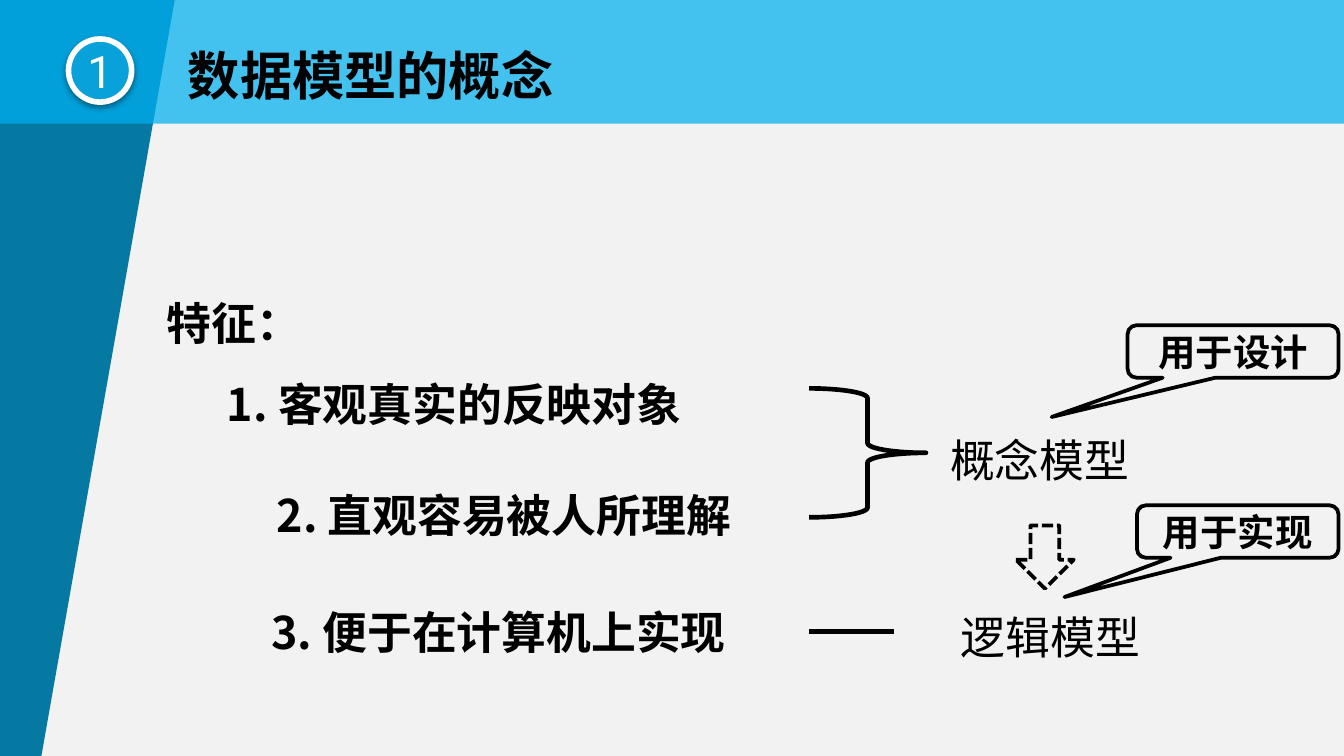
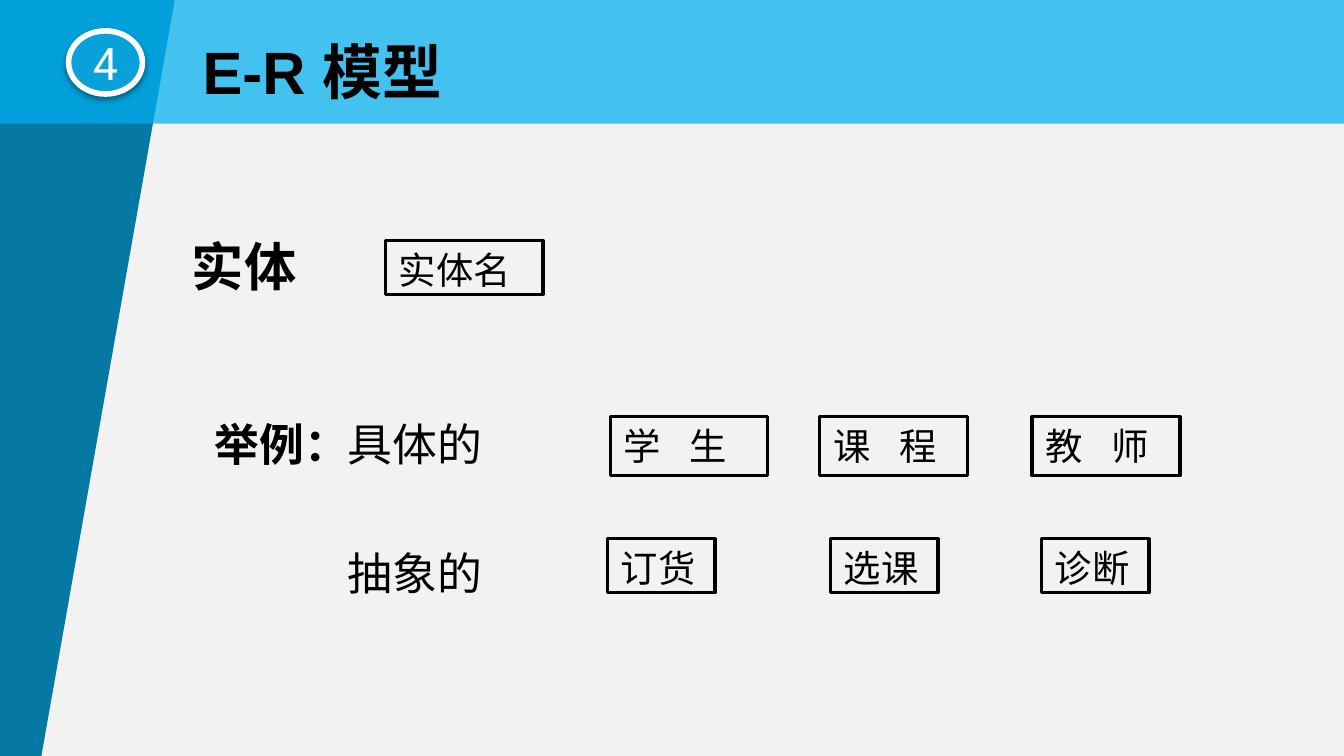
from lxml import etree
from pptx import Presentation, util as u
from pptx.dml.color import RGBColor
from pptx.enum import dml, shapes, text
from pptx.oxml import parse_xml
from pptx.oxml.ns import qn

PX = 4572  # 200 px to the inch
NS = 'xmlns:a="http://schemas.openxmlformats.org/drawingml/2006/main"'
SC, JP = "Noto Sans CJK SC", "Noto Sans CJK JP"
BLACK, WHITE = "000000", "FFFFFF"
color = RGBColor.from_string
MSO = shapes.MSO_SHAPE


def add_box(s, kind, at, line=None, width=2.0, fill=None):
    """Add a text box (kind None) or a preset shape at px left, top, width, height."""
    at = [v * PX for v in at]
    if kind is None:
        return s.shapes.add_textbox(*at)
    sp = s.shapes.add_shape(kind, *at)
    sp.shadow.inherit = False
    if fill:
        sp.fill.solid()
        sp.fill.fore_color.rgb = color(fill)
    else:
        sp.fill.background()
    if line:
        sp.line.color.rgb = color(line)
        sp.line.width = u.Pt(width)
    else:
        sp.line.fill.background()
    return sp


def put_text(sp, words, size, font=SC, bold=False, ink=BLACK, spacing=None,
             indent=0, center=False):
    """Write lines of text; the indent goes to the last one."""
    tf = sp.text_frame
    tf.word_wrap = True
    tf.vertical_anchor = text.MSO_ANCHOR.MIDDLE if center else text.MSO_ANCHOR.TOP
    tf.text = words
    for p in tf.paragraphs:
        p.alignment = text.PP_ALIGN.CENTER if center else text.PP_ALIGN.LEFT
        p.line_spacing = spacing
        for r in p.runs:
            r.font.size, r.font.name, r.font.bold = u.Pt(size), font, bold
            r.font.color.rgb = color(ink)
            ea = etree.SubElement(r.font._element, qn("a:ea"))
            ea.set("typeface", JP if font == JP else SC)
    if indent:
        p._p.get_or_add_pPr().set("marL", str(indent * PX))


prs = Presentation()
prs.slide_width, prs.slide_height = 2000 * PX, 1125 * PX

# Shared frame: slanted side panel, title band, number badge, title
pages = [
    ("1", (102, 58, 94, 94), "数据模型的概念", (260, 54, 638, 114), 28, SC),
    ("4", (102, 46, 110, 94), "E-R 模型", (282, 42, 434, 128), 32, "Arial"),
]
for number, badge_at, title, title_at, size, font in pages:
    s = prs.slides.add_slide(prs.slide_layouts[6])
    s.background.fill.solid()
    s.background.fill.fore_color.rgb = color("F2F2F2")

    outline = s.shapes.build_freeform(-2, 1132, scale=PX)
    outline.add_line_segments([(0, -2), (260, 0), (60, 1134)], close=True)
    panel = outline.convert_to_shape()
    panel.shadow.inherit = False
    panel.fill.solid()
    panel.fill.fore_color.rgb = color("0679A3")
    panel.line.fill.background()

    band = add_box(s, MSO.RECTANGLE, (-2, 0, 2002, 184), fill="00B0F0")
    tint = band._element.spPr.find(".//" + qn("a:srgbClr"))
    etree.SubElement(tint, qn("a:alpha")).set("val", "72000")

    badge = add_box(s, MSO.OVAL, badge_at, WHITE, 3, "08A1D9")
    tf = badge.text_frame
    tf.margin_left = tf.margin_right = tf.margin_top = tf.margin_bottom = 0
    put_text(badge, number, 24, "Roboto", ink=WHITE, center=True)
    badge._element.spPr.find(qn("a:effectLst")).append(parse_xml(
        f'<a:outerShdw {NS} blurRad="39370" dist="20320" dir="5400000" rotWithShape="0">'
        '<a:srgbClr val="000000"><a:alpha val="38000"/></a:srgbClr></a:outerShdw>'))

    put_text(add_box(s, None, title_at), title, size, font, bold=True)

features, entities = prs.slides

# Slide 1: features on the left
for words, at, indent in [
    ("特征：\n1. 客观真实的反映对象", (228, 390, 976, 262), 90),
    ("2. 直观容易被人所理解", (362, 676, 882, 122), 30),
    ("3. 便于在计算机上实现", (354, 850, 882, 122), 30),
]:
    put_text(add_box(features, None, at), words, 24, bold=True, spacing=1.5, indent=indent)

# Slide 1: links to the two models
add_box(features, MSO.RIGHT_BRACE, (1204, 578, 174, 192), BLACK, 2.5)
link = features.shapes.add_connector(
    shapes.MSO_CONNECTOR.STRAIGHT, 1204 * PX, 940 * PX, 1330 * PX, 940 * PX)
link.line.color.rgb = color(BLACK)
link.line.width = u.Pt(2.5)
etree.SubElement(link._element.spPr, qn("a:effectLst"))
arrow = add_box(features, MSO.DOWN_ARROW, (1512, 782, 86, 94), BLACK)
arrow.line.dash_style = dml.MSO_LINE.SQUARE_DOT

for model, model_at, use, use_at in [
    ("概念模型", (1394, 594, 362, 142), "用于设计", (1678, 484, 314, 78)),
    ("逻辑模型", (1410, 858, 362, 130), "用于实现", (1692, 752, 300, 78)),
]:
    put_text(add_box(features, None, model_at), model, 24, JP, spacing=1.5)
    callout = add_box(features, MSO.ROUNDED_RECTANGULAR_CALLOUT, use_at, BLACK)
    for i, value in enumerate((-0.86, 1.25, 0.17)):
        callout.adjustments[i] = value
    put_text(callout, use, 20, "Roboto", bold=True, center=True)

# Slide 2: row labels
for words, at, size, bold in [
    ("实体", (266, 338, 202, 98), 28, True),
    ("举例：", (300, 610, 330, 142), 24, True),
    ("具体的", (498, 610, 300, 100), 24, False),
    ("抽象的", (498, 802, 300, 100), 24, False),
]:
    put_text(add_box(entities, None, at), words, size, bold=bold)

# Slide 2: entity boxes; names with a gap are letter-spaced
for name, at in [
    ("实体名", (574, 358, 234, 80)),
    ("学 生", (908, 620, 234, 88)),
    ("课 程", (1220, 620, 220, 88)),
    ("教 师", (1536, 620, 220, 88)),
    ("订货", (904, 802, 160, 80)),
    ("选课", (1236, 802, 160, 80)),
    ("诊断", (1550, 802, 160, 80)),
]:
    sp = add_box(entities, MSO.RECTANGLE, at, BLACK, 1.75)
    put_text(sp, name, 20, "Arial")
    if " " in name:
        sp.text_frame.paragraphs[0].runs[0].font._element.set("spc", "550")

prs.save("out.pptx")
